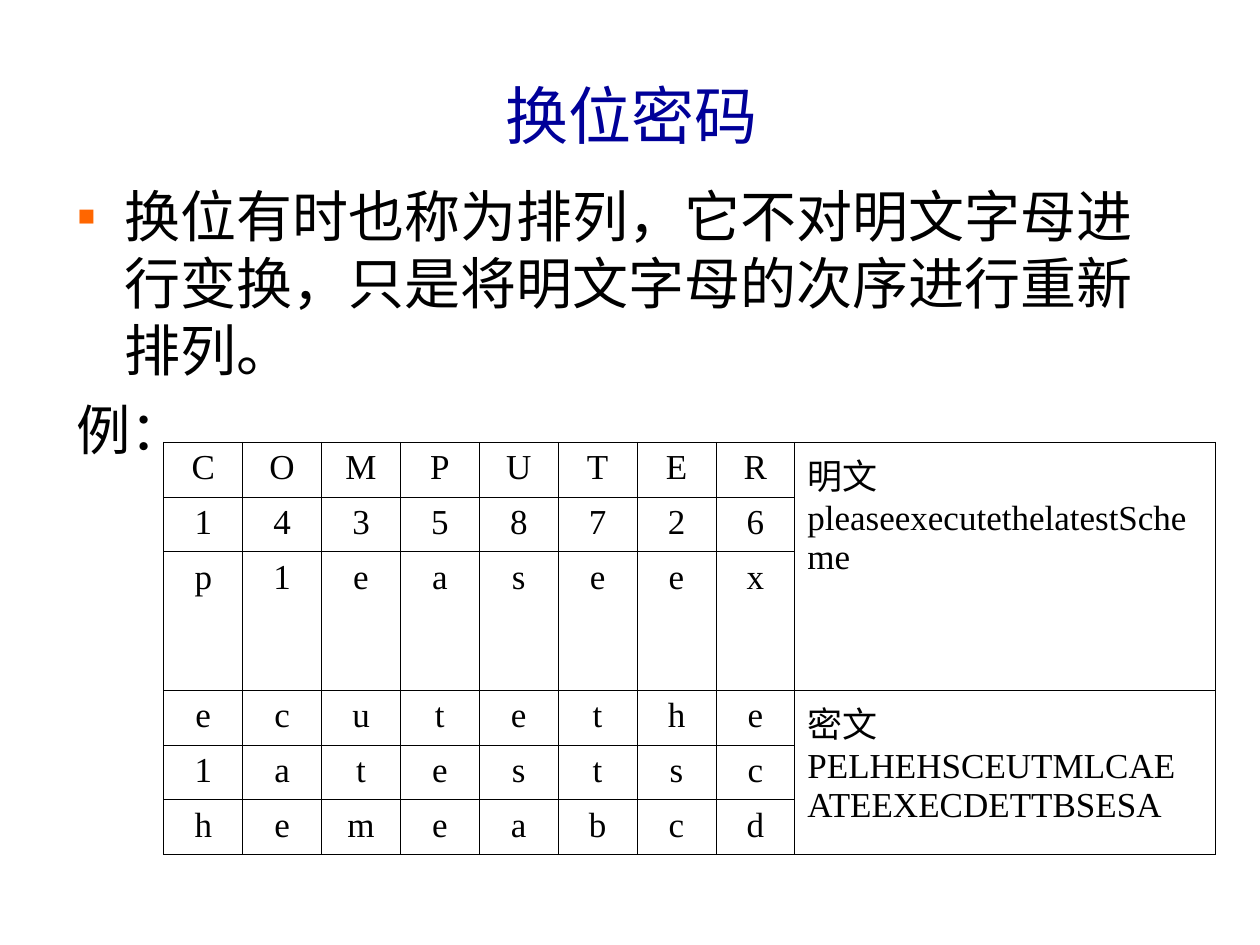
from dataclasses import dataclass

from lxml.etree import SubElement
from pptx import Presentation
from pptx.dml.color import RGBColor
from pptx.enum.text import MSO_ANCHOR, PP_ALIGN
from pptx.oxml import parse_xml
from pptx.oxml.ns import nsdecls, qn
from pptx.util import Emu, Inches, Pt

COLORS = {"title": "000099", "text": "000000", "bullet": "FF6600", "line": "000000"}
UNIT = 0.1  # the slide is a grid of 100 columns and 75 rows
BODY, SERIF = "Arial", "Times New Roman"


@dataclass
class Area:
    col: float
    row: float
    cols: float
    rows: float


@dataclass
class Line:
    text: str
    size: float
    font: str = BODY
    color: str = "text"
    align: PP_ALIGN = PP_ALIGN.LEFT
    before: float = 0
    hang: float = 0
    bullet: str = ""


@dataclass
class Note:
    """A cell merged over rows top to last, beside the letters."""
    top: int
    last: int
    lines: list[str]


LETTERS = ["COMPUTER", "14358726".replace("14358726", "14358726"), "p1easeex",
           "ecutethe", "1atestsc", "hemeabcd"]
LETTERS[1] = "14358726"
NOTES = [
    Note(0, 2, ["明文 pleaseexecutethelatestScheme"]),
    Note(3, 5, ["密文", "PELHEHSCEUTMLCAE", "ATEEXECDETTBSESA"]),
]


def units(count: float) -> Emu:
    return Inches(count * UNIT)


def place(area: Area) -> tuple:
    return tuple(units(n) for n in (area.col, area.row, area.cols, area.rows))


def write(frame, lines: list[Line]) -> None:
    for i, line in enumerate(lines):
        para = frame.add_paragraph() if i else frame.paragraphs[0]
        para.alignment = line.align
        para.space_before = Pt(line.before)
        props = para._p.get_or_add_pPr()
        if line.hang:
            props.set("marL", str(units(line.hang)))
            props.set("indent", str(-units(line.hang)))
        if line.bullet:
            tint = SubElement(props, qn("a:buClr"))
            SubElement(tint, qn("a:srgbClr"), val=COLORS["bullet"])
            SubElement(props, qn("a:buFont"), typeface=line.font)
            SubElement(props, qn("a:buChar"), char=line.bullet)
        run = para.add_run()
        run.text = line.text
        run.font.name = line.font
        run.font.size = Pt(line.size)
        run.font.color.rgb = RGBColor.from_string(COLORS[line.color])


def add_text(slide, area: Area, lines: list[Line], anchor: MSO_ANCHOR) -> None:
    frame = slide.shapes.add_textbox(*place(area)).text_frame
    frame.word_wrap = True
    frame.vertical_anchor = anchor
    write(frame, lines)


def style(cell) -> None:
    """Clear the fill and rule all four sides."""
    cell.fill.background()
    props = cell._tc.get_or_add_tcPr()
    for i, side in enumerate("LRTB"):
        props.insert(i, parse_xml(
            f'<a:ln{side} {nsdecls("a")} w="{Pt(0.45)}"><a:solidFill>'
            f'<a:srgbClr val="{COLORS["line"]}"/></a:solidFill></a:ln{side}>'))


def add_grid(slide, area: Area, wide: float, rows: list[float]) -> None:
    count = len(LETTERS[0])
    table = slide.shapes.add_table(len(rows), count + 1, *place(area)).table
    table.first_row = table.horz_banding = False
    for i, col in enumerate(table.columns):
        col.width = units(wide if i == count else (area.cols - wide) / count)
    for row, high in zip(table.rows, rows):
        row.height = units(high)
    for cell in table.iter_cells():
        style(cell)
    for r, word in enumerate(LETTERS):
        for c, letter in enumerate(word):
            write(table.cell(r, c).text_frame,
                  [Line(letter, 20, SERIF, align=PP_ALIGN.CENTER)])
    for note in NOTES:
        cell = table.cell(note.top, count)
        cell.merge(table.cell(note.last, count))
        write(cell.text_frame, [Line(text, 20, SERIF) for text in note.lines])


def main() -> None:
    deck = Presentation()
    deck.slide_width, deck.slide_height = units(100), units(75)
    slide = deck.slides.add_slide(deck.slide_layouts[6])
    add_text(slide, Area(5.1, 6, 90, 6.1),
             [Line("换位密码", 36, color="title", align=PP_ALIGN.CENTER)],
             MSO_ANCHOR.MIDDLE)
    add_text(slide, Area(5.1, 13.9, 90, 23.9), [
        Line("换位有时也称为排列，它不对明文字母进行变换，只是将明文字母的次序进行重新排列。",
             32, hang=3.8, bullet="▪"),
        Line("例：", 31, before=7.7, hang=3.8),
    ], MSO_ANCHOR.TOP)
    add_grid(slide, Area(13, 35.1, 83.5, 29.9), 33.4, [4.1, 4.1, 10.3, 4.1, 4.1, 4.1])
    deck.save("out.pptx")


if __name__ == "__main__":
    main()
